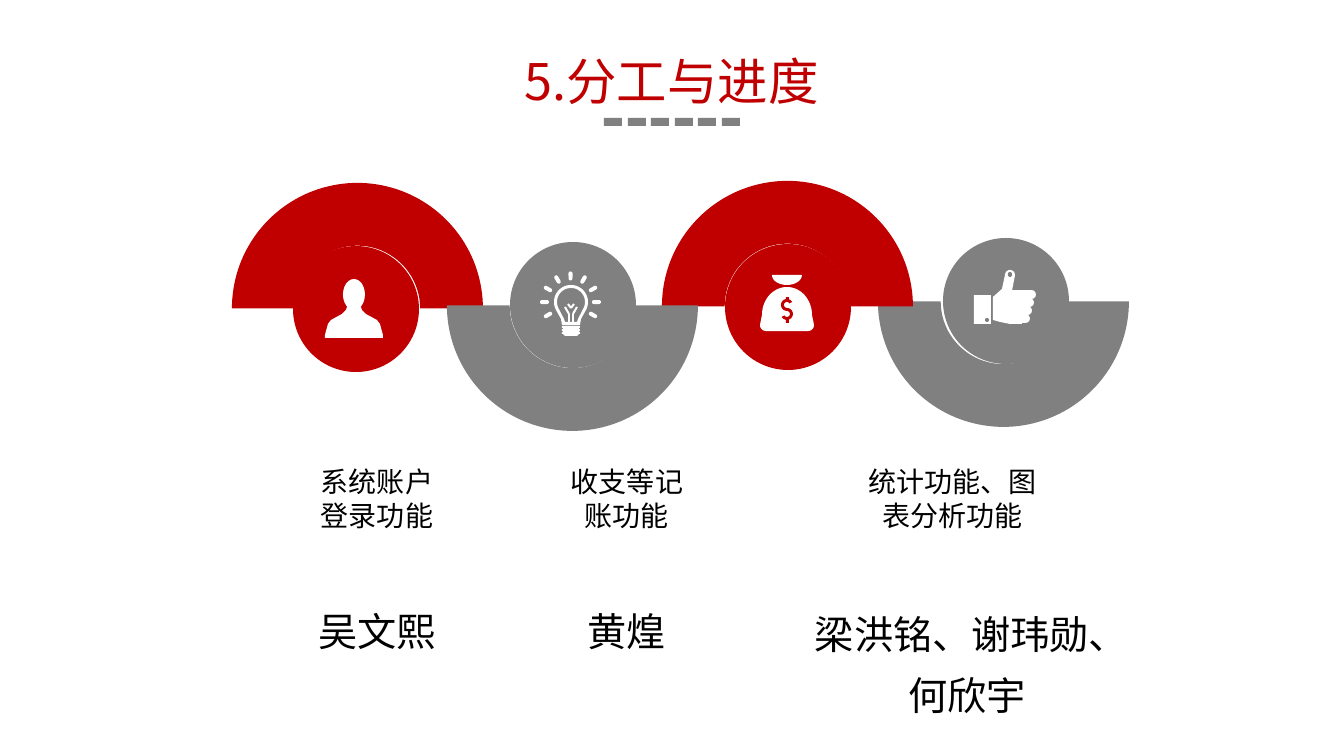
from math import cos, radians, sin

from lxml.etree import SubElement
from pptx import Presentation
from pptx.chart.data import CategoryChartData
from pptx.dml.color import RGBColor
from pptx.enum.chart import XL_CHART_TYPE
from pptx.enum.shapes import MSO_CONNECTOR, MSO_SHAPE
from pptx.enum.text import MSO_AUTO_SIZE, PP_ALIGN
from pptx.oxml import parse_xml
from pptx.oxml.ns import nsdecls, qn
from pptx.util import Pt

SCALE = 12192000 / 1344
FONT = "Noto Sans CJK SC"
RED, GRAY, WHITE, BLACK = "C00000", "808080", "FFFFFF", "000000"
DISC = 126
BOTTOM_HALF, TOP_HALF = 0, 1


def px(*values):
    return [round(value * SCALE) for value in values]


def color(value):
    return RGBColor.from_string(value)


def paint(shape, fill):
    shape.shadow.inherit = False
    shape.fill.solid()
    shape.fill.fore_color.rgb = color(fill)
    shape.line.fill.background()


def add_block(page, kind, left, top, width, height, fill):
    block = page.shapes.add_shape(kind, *px(left, top, width, height))
    paint(block, fill)
    return block


def add_pill(page, left, top, width, height, fill=WHITE):
    pill = add_block(page, MSO_SHAPE.ROUNDED_RECTANGLE, left, top, width, height, fill)
    pill.adjustments[0] = 0.5
    return pill


def add_stroke(page, x1, y1, x2, y2):
    stroke = page.shapes.add_connector(MSO_CONNECTOR.STRAIGHT, *px(x1, y1, x2, y2))
    stroke.line.color.rgb = color(WHITE)
    stroke.line.width = px(2)[0]
    SubElement(stroke._element.spPr, qn("a:effectLst"))


def add_outline(page, left, top, contours, fill=WHITE):
    builder = None
    for contour in contours:
        points = [px(left + x, top + y) for x, y in contour]
        if builder is None:
            builder = page.shapes.build_freeform(*points[0])
        else:
            builder.move_to(*points[0])
        builder.add_line_segments(points[1:], close=True)
    paint(builder.convert_to_shape(), fill)


def arc(center_x, center_y, radius_x, radius_y, start, end, steps=16):
    angles = [radians(start + (end - start) * step / steps) for step in range(steps + 1)]
    return [(center_x + radius_x * cos(angle), center_y + radius_y * sin(angle)) for angle in angles]


def mirrored(right_half):
    return right_half + [(-x, y) for x, y in reversed(right_half)]


def draw_person(page, axis, top, backdrop):
    add_block(page, MSO_SHAPE.OVAL, axis - 11, top + 3, 22, 31, WHITE)
    neck = [(6, 28), (8, 34), (12, 38)]
    shoulder = [(23, 44), (26, 48), (29, 59), (29, 62)]
    add_outline(page, axis, top, [mirrored(neck + shoulder)])


def draw_money_bag(page, axis, top, backdrop):
    dome = arc(0, 40, 25, 28, -90, 0)
    corner = arc(21, 50, 6, 6, 0, 90)
    add_outline(page, axis, top, [mirrored(dome + corner)])
    add_outline(page, axis, top, [arc(0, 0, 15, 10, 0, 180)])

    for bowl_y, start, end in ((30, -30, -270), (39, -90, 150)):
        bowl = arc(0, bowl_y, 6, 6, start, end) + arc(0, bowl_y, 3, 3, end, start)
        add_outline(page, axis, top, [bowl], backdrop)
    for tick_y in (22, 44):
        add_block(page, MSO_SHAPE.RECTANGLE, axis - 1, top + tick_y, 3, 4, backdrop)


def draw_bulb(page, axis, middle, backdrop):
    for degrees in range(150, 391, 30):
        ray_x = axis + 26 * cos(radians(degrees))
        ray_y = middle + 26 * sin(radians(degrees))
        add_pill(page, ray_x - 5, ray_y - 2, 9, 4).rotation = degrees % 180

    glass = [mirrored(arc(0, 0, radius, radius, -90, 30) + [(neck + 1, 17), (neck, 23 - rim)])
             for radius, neck, rim in ((17, 9, 0), (14, 6, 3))]
    add_outline(page, axis, middle, glass)
    for side in (-1, 1):
        bend_x, bend_y = axis + 2 * side, middle + 12
        add_stroke(page, bend_x, middle + 21, bend_x, bend_y)
        add_stroke(page, bend_x, bend_y, axis + 6 * side, middle + 5)
        add_stroke(page, axis, middle + 6, axis + 3 * side, middle + 2)

    for thread in range(3):
        add_block(page, MSO_SHAPE.RECTANGLE, axis - 9, middle + 24 + 3 * thread, 18, 2, WHITE)
    add_block(page, MSO_SHAPE.RECTANGLE, axis - 8, middle + 24, 16, 7, WHITE)
    add_pill(page, axis - 8, middle + 28, 16, 6)


def draw_thumb(page, left, top, backdrop):
    add_block(page, MSO_SHAPE.RECTANGLE, left, top + 31, 17, 29, WHITE)
    add_block(page, MSO_SHAPE.OVAL, left + 11, top + 54, 4, 4, backdrop)

    wrist = [(26, 58), (19, 56), (19, 33), (28, 25)]
    tip = arc(36, 11, 5, 5, 180, 370)
    palm = [(38, 27), (48, 27), (48, 60), (36, 60)]
    add_outline(page, left, top, [wrist + tip + palm])
    for finger in range(4):
        add_pill(page, left + 34, top + 26 + 8 * finger, 28 - 2 * finger, 9)
    add_pill(page, left + 34, top + 8, 4, 5, backdrop)


def add_half_ring(page, left, top, fill, visible):
    data = CategoryChartData()
    data.categories = ["1", "2"]
    data.add_series("Series 1", (50, 50))
    chart = page.shapes.add_chart(XL_CHART_TYPE.DOUGHNUT, *px(left, top, 419, 279), data).chart
    chart.has_legend = False
    chart.has_title = False
    chart.font.name = "Calibri"
    chart.font.size = Pt(10)
    chart.font.color.rgb = color(BLACK)
    plot = chart.plots[0]
    plot.vary_by_categories = True
    for index in (BOTTOM_HALF, TOP_HALF):
        style = plot.series[0].points[index].format
        style.line.fill.background()
        if index == visible:
            style.fill.solid()
            style.fill.fore_color.rgb = color(fill)
        else:
            style.fill.background()
    area = chart.element.find(".//" + qn("c:plotArea"))
    area.find(".//" + qn("c:firstSliceAng")).set("val", "90")
    area.find(".//" + qn("c:holeSize")).set("val", "73")
    for layout in area.findall(qn("c:layout")):
        area.remove(layout)
    area.insert(0, parse_xml(
        f'<c:layout {nsdecls("c")}><c:manualLayout><c:layoutTarget val="inner"/>'
        '<c:xMode val="edge"/><c:yMode val="edge"/><c:x val="0.2"/><c:y val="0.05"/>'
        '<c:w val="0.6"/><c:h val="0.9"/></c:manualLayout></c:layout>'))


def add_text(page, left, top, width, height, text, size, fill=BLACK, spacing=None):
    frame = page.shapes.add_textbox(*px(left, top, width, height)).text_frame
    frame.word_wrap = True
    frame.auto_size = MSO_AUTO_SIZE.SHAPE_TO_FIT_TEXT
    para = frame.paragraphs[0]
    para.alignment = PP_ALIGN.CENTER
    if spacing:
        para.line_spacing = spacing
    span = para.add_run()
    span.text = text
    span.font.size = Pt(size)
    span.font.name = FONT
    span.font.color.rgb = color(fill)
    SubElement(span.font._element, qn("a:ea")).set("typeface", FONT)


def main():
    deck = Presentation()
    deck.slide_width, deck.slide_height = px(1344, 756)
    page = deck.slides.add_slide(deck.slide_layouts[6])

    stages = [
        (794, 162, 943, 238, GRAY, BOTTOM_HALF, draw_thumb, 974, 264),
        (148, 169, 293, 246, RED, TOP_HALF, draw_person, 354, 276),
        (578, 167, 725, 244, RED, TOP_HALF, draw_money_bag, 787, 275),
        (363, 166, 510, 242, GRAY, BOTTOM_HALF, draw_bulb, 571, 302),
    ]
    for ring_left, ring_top, disc_left, disc_top, fill, visible, draw_icon, icon_x, icon_y in stages:
        add_half_ring(page, ring_left, ring_top, fill, visible)
        add_block(page, MSO_SHAPE.OVAL, disc_left, disc_top, DISC, DISC, fill)
        draw_icon(page, icon_x, icon_y, fill)

    for left, width, task in ((310, 134, "系统账户登录功能"),
                              (560, 134, "收支等记账功能"),
                              (850, 205, "统计功能、图表分析功能")):
        add_text(page, left, 460, width, 78, task, 20)
    for left, top, width, height, people in ((283, 588, 188, 68, "吴文熙"),
                                             (537, 588, 188, 68, "黄煌 "),
                                             (795, 591, 353, 129, "梁洪铭、谢玮勋、何欣宇 ")):
        add_text(page, left, top, width, height, people, 28, spacing=1.3)

    add_text(page, 450, 45, 443, 72, "5.分工与进度", 36, RED)
    for index in range(6):
        add_block(page, MSO_SHAPE.RECTANGLE, 604 + round(23.6 * index), 118, 18, 8, GRAY)

    deck.save("out.pptx")


if __name__ == "__main__":
    main()
